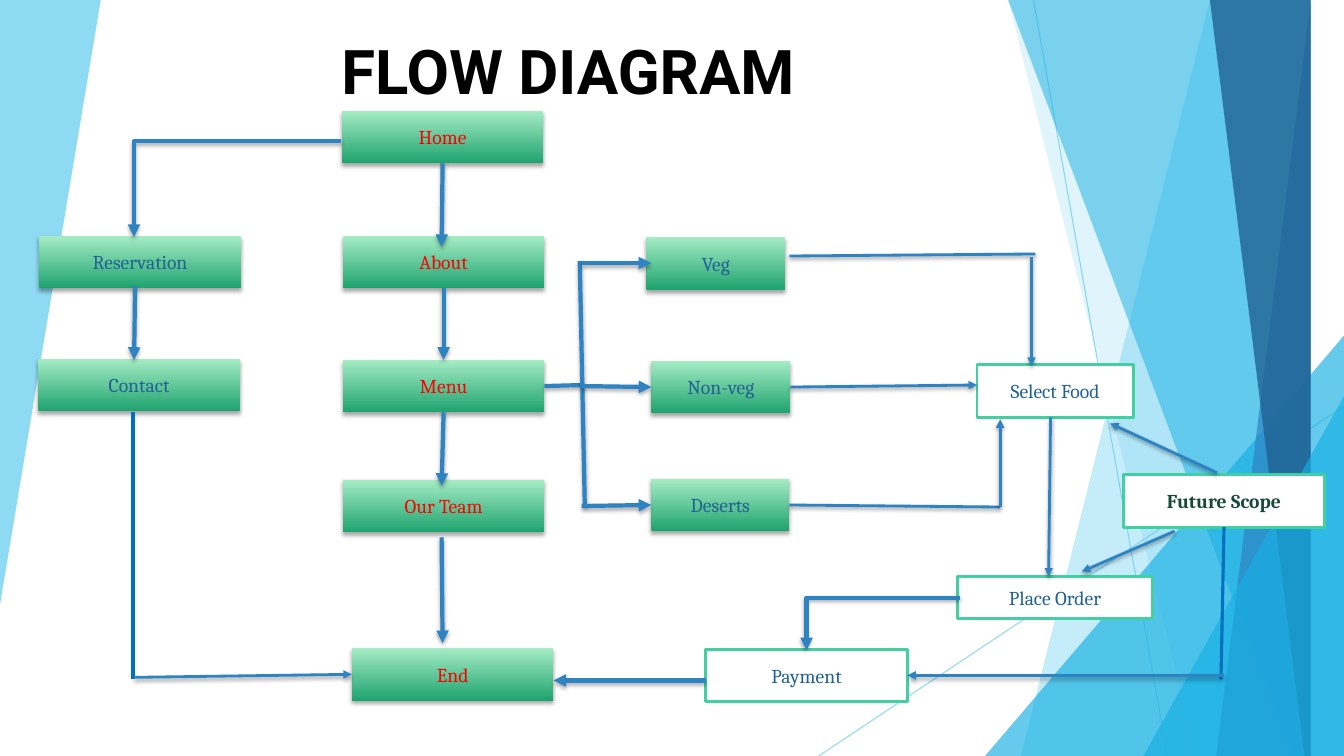
from lxml.etree import SubElement
from pptx import Presentation
from pptx.dml.color import RGBColor
from pptx.enum.shapes import MSO_CONNECTOR as Connector, MSO_SHAPE as Shape
from pptx.enum.text import MSO_ANCHOR as Anchor, MSO_AUTO_SIZE as AutoSize, PP_ALIGN as Align
from pptx.oxml.ns import qn
from pptx.util import Inches, Pt

WIDTH, HEIGHT = 13.33, 7.5
SKY, AQUA, BLUE, NAVY = "5FCBEF", "16B0E3", "2E83C3", "226292"
RED, FOREST, PLAIN_BLUE = "FF0000", "174A36", "0070C0"
GRADIENT = ("1FA36E", "A5ECC5")
OUTLINE = "42D0A2"

TITLE = ("FLOW DIAGRAM", (1.49, 0.28, 8.29, 0.6))
TITLE_FONT = {"name": "Roboto", "size": Pt(44), "bold": True}
BOX_FONT = {"name": "Cambria", "size": Pt(14)}

RIGHT_EDGE = [(WIDTH, 0), (WIDTH, HEIGHT)]
LEFT_WEDGE = ([(0, 0), (0.94, 0), (0, 6.22)], SKY, 70)
RAYS = [((10.25, 0), (11.58, HEIGHT)), ((WIDTH, 4.03), (8.12, HEIGHT))]
BACKDROP = [
    ("band", (12.28, 10.04), SKY, 36),
    ("band", (10.5, 11.83), SKY, 20),
    ("triangle", (9.77, 3.33), AQUA, 66),
    ("band", (10.21, 12.91), AQUA, 50),
    ("band", (13.03, 11.92), BLUE, 70),
    ("band", (11.96, 13.18), NAVY, 80),
    ("triangle", (11.34, 3.93), AQUA, 66),
]

GREEN_BOXES = [
    ("Home", 3.39, 1.1, 2, 0.52, RED),
    ("Reservation", 0.39, 2.34, 2, 0.52, NAVY),
    ("Contact", 0.38, 3.56, 2, 0.52, NAVY),
    ("About", 3.4, 2.34, 2, 0.52, RED),
    ("Menu", 3.4, 3.57, 2, 0.52, RED),
    ("Our Team", 3.4, 4.76, 2, 0.52, RED),
    ("End", 3.49, 6.43, 2, 0.52, RED),
    ("Veg", 6.41, 2.35, 1.38, 0.53, NAVY),
    ("Non-veg", 6.46, 3.58, 1.38, 0.52, NAVY),
    ("Deserts", 6.46, 4.75, 1.37, 0.52, NAVY),
]
WHITE_BOXES = [
    ("Select Food", 9.69, 3.62, 1.55, 0.52, NAVY),
    ("Place Order", 9.5, 5.72, 1.93, 0.42, NAVY),
    ("Payment", 7, 6.44, 2, 0.52, NAVY),
    ("Future Scope", 11.14, 4.71, 2, 0.52, FOREST),
]

THICK = {"color": BLUE, "width": 3, "shadow": (35, 1.8)}
THIN = {"color": BLUE, "width": 2, "shadow": (38, 1.6)}
FLAT = {"color": PLAIN_BLUE, "width": 2.25, "shadow": None}
FLOWS = [
    (THICK, True, [
        (4.39, 1.61, 4.38, 2.45), (4.39, 2.85, 4.38, 3.58), (4.39, 4.09, 4.38, 4.82),
        (4.38, 5.33, 4.39, 6.38), (1.34, 2.84, 1.33, 3.57), (7, 6.75, 5.49, 6.75),
    ]),
    (FLAT, False, [(1.32, 4.09, 1.32, 6.74), (12.13, 5.27, 12.11, 6.74)]),
    (THICK, False, [(5.41, 3.83, 5.78, 3.82), (5.75, 2.59, 5.8, 5.02)]),
    (THICK, True, [
        (5.77, 2.61, 6.46, 2.61), (5.77, 3.83, 6.46, 3.83), (5.77, 5.02, 6.46, 5.03),
    ]),
    (THIN, False, [(7.83, 2.54, 10.27, 2.52), (7.83, 5.03, 9.92, 5.03)]),
    (THIN, True, [
        (10.23, 2.55, 10.23, 3.63), (7.83, 3.82, 9.69, 3.82), (9.92, 5.03, 9.92, 4.16),
        (10.42, 4.14, 10.4, 5.72), (1.33, 6.72, 3.48, 6.7), (12.14, 6.7, 9.01, 6.7),
        (12.07, 4.69, 11.01, 4.2), (11.65, 5.27, 10.73, 5.67),
    ]),
]
BENDS = [(3.38, 1.4, 1.33, 2.35), (9.52, 5.93, 8, 6.45)]
JOIN_REACH = 0.042


def rgb(value):
    return RGBColor.from_string(value)


def inches(values):
    return [Inches(value) for value in values]


def set_opacity(shape, percent):
    for color in shape._element.spPr.iter(qn("a:srgbClr")):
        SubElement(color, qn("a:alpha"), val=str(percent * 1000))


def set_shadow(shape, shadow):
    properties = shape._element.spPr
    effects = properties.find(qn("a:effectLst"))
    if effects is None:
        effects = SubElement(properties, qn("a:effectLst"))
    if shadow:
        opacity, distance = shadow
        outer = SubElement(effects, qn("a:outerShdw"), blurRad=str(Pt(3.1)),
                           dist=str(Pt(distance)), dir="5400000", rotWithShape="0")
        color = SubElement(outer, qn("a:srgbClr"), val="000000")
        SubElement(color, qn("a:alpha"), val=str(opacity * 1000))


def write(shape, text, font, color, anchor):
    frame = shape.text_frame
    frame.text = text
    frame.word_wrap = True
    frame.auto_size = AutoSize.NONE
    frame.vertical_anchor = anchor
    paragraph = frame.paragraphs[0]
    paragraph.alignment = Align.CENTER
    run = paragraph.runs[0]
    for name, value in font.items():
        setattr(run.font, name, value)
    run.font.color.rgb = rgb(color)


def tint(shape, color, opacity):
    shape.shadow.inherit = False
    shape.fill.solid()
    shape.fill.fore_color.rgb = rgb(color)
    shape.line.fill.background()
    set_opacity(shape, opacity)


def add_polygon(shapes, points, color, opacity):
    builder = shapes.build_freeform(*points[0], scale=Inches(1))
    builder.add_line_segments(points[1:], close=True)
    tint(builder.convert_to_shape(), color, opacity)


def add_line(shapes, ends, color, width, shadow=None, arrow=False, kind=Connector.STRAIGHT):
    connector = shapes.add_connector(kind, *inches(ends))
    connector.line.color.rgb = rgb(color)
    connector.line.width = Pt(width)
    if arrow:
        SubElement(connector.line._get_or_add_ln(), qn("a:tailEnd"), type="triangle")
    set_shadow(connector, shadow)
    return connector


def add_backdrop(shapes):
    add_polygon(shapes, *LEFT_WEDGE)
    for start, end in RAYS:
        set_opacity(add_line(shapes, start + end, SKY, 0.75), 70)
    for kind, (first, second), color, opacity in BACKDROP:
        if kind == "band":
            points = [(first, 0), *RIGHT_EDGE, (second, HEIGHT)]
            add_polygon(shapes, points, color, opacity)
        else:
            area = inches((first, second, WIDTH - first, HEIGHT - second))
            triangle = shapes.add_shape(Shape.ISOSCELES_TRIANGLE, *area)
            triangle.adjustments[0] = 1
            tint(triangle, color, opacity)


def add_box(shapes, text, left, top, width, height, color, green):
    box = shapes.add_shape(Shape.RECTANGLE, *inches((left, top, width, height)))
    box.shadow.inherit = False
    if green:
        box.fill.gradient()
        box.fill.gradient_angle = 90
        for stop, shade in zip(box.fill.gradient_stops, GRADIENT):
            stop.color.rgb = rgb(shade)
        box.line.fill.background()
        set_shadow(box, THICK["shadow"])
    else:
        box.fill.solid()
        box.fill.fore_color.rgb = rgb("FFFFFF")
        box.line.color.rgb = rgb(OUTLINE)
        box.line.width = Pt(2)
    write(box, text, {**BOX_FONT, "bold": color == FOREST}, color, Anchor.MIDDLE)
    middle, center = left + width / 2, top + height / 2
    sides = [(middle, top), (left, center), (middle, top + height), (left + width, center)]
    return box, sides


def join(connect, x, y, boxes):
    for box, sides in boxes:
        for site, (side_x, side_y) in enumerate(sides):
            if max(abs(x - side_x), abs(y - side_y)) < JOIN_REACH:
                connect(box, site)


def main():
    presentation = Presentation()
    presentation.slide_width, presentation.slide_height = inches((WIDTH, HEIGHT))
    slide = presentation.slides.add_slide(presentation.slide_layouts[5])
    shapes = slide.shapes
    title = shapes.title
    text, area = TITLE
    for name, value in zip(("left", "top", "width", "height"), inches(area)):
        setattr(title, name, value)
    write(title, text, TITLE_FONT, "000000", Anchor.TOP)

    add_backdrop(shapes)
    boxes = [add_box(shapes, *entry, green=True) for entry in GREEN_BOXES]
    boxes += [add_box(shapes, *entry, green=False) for entry in WHITE_BOXES]
    for style, arrow, lines in FLOWS:
        for ends in lines:
            connector = add_line(shapes, ends, arrow=arrow, **style)
            join(connector.begin_connect, *ends[:2], boxes)
            join(connector.end_connect, *ends[2:], boxes)
    for ends in BENDS:
        bend = add_line(shapes, ends, arrow=True, kind=Connector.ELBOW, **THICK)
        bend._element.spPr.find(qn("a:prstGeom")).set("prst", "bentConnector2")
    presentation.save("out.pptx")


if __name__ == "__main__":
    main()
